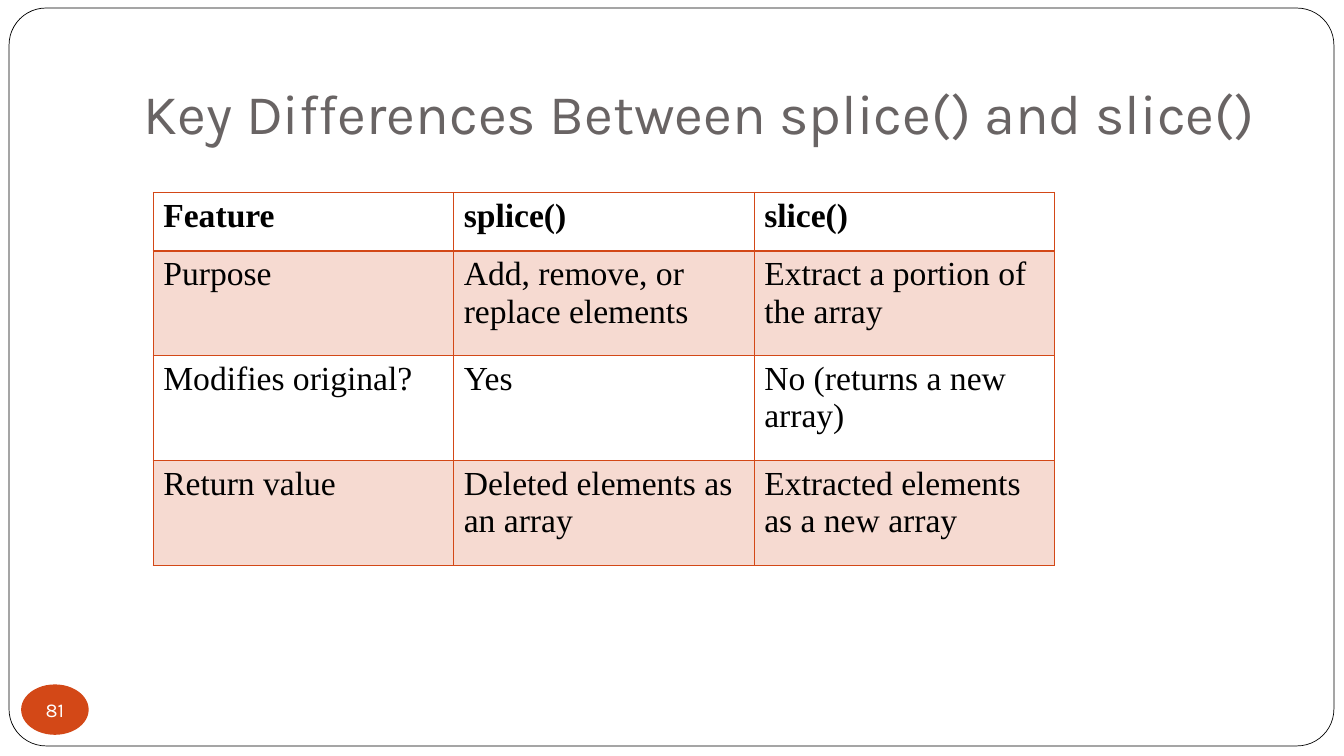
from lxml import etree
from pptx import Presentation
from pptx import util as u
from pptx.dml.color import RGBColor
from pptx.enum import shapes, text
from pptx.oxml.ns import qn

COLORS = {"white": "FFFFFF", "black": "000000", "title": "696464",
          "accent": "D34817", "band": "F6DAD1"}
FORMATS = {
    "title": {"name": "Karla", "size": u.Pt(40), "bold": False},
    "number": {"name": "Karla", "size": u.Pt(14), "bold": False},
    "header": {"name": "Times New Roman", "size": u.Pt(24), "bold": True},
    "body": {"name": "Times New Roman", "size": u.Pt(24), "bold": False},
}


def write(frame, words, style, color):
    paragraph = frame.paragraphs[0]
    run = paragraph.add_run()
    run.text = words
    for key, value in FORMATS[style].items():
        setattr(run.font, key, value)
    run.font.color.rgb = RGBColor.from_string(COLORS[color])
    return paragraph


def add_border(cell, side, points):
    line = etree.SubElement(cell._tc.get_or_add_tcPr(), qn(f"a:ln{side}"), w=str(u.Pt(points)))
    fill = etree.SubElement(line, qn("a:solidFill"))
    etree.SubElement(fill, qn("a:srgbClr"), val=COLORS["accent"])


presentation = Presentation()
presentation.slide_width = u.Inches(13.33)
presentation.slide_height = u.Inches(7.5)
slide = presentation.slides.add_slide(presentation.slide_layouts[6])

frame_shape = slide.shapes.add_shape(
    shapes.MSO_SHAPE.ROUNDED_RECTANGLE,
    u.Inches(0.09), u.Inches(0.08), u.Inches(13.14), u.Inches(7.32))
frame_shape.adjustments[0] = 0.05
frame_shape.shadow.inherit = False
frame_shape.fill.solid()
frame_shape.fill.fore_color.rgb = RGBColor.from_string(COLORS["white"])
frame_shape.line.color.rgb = RGBColor.from_string(COLORS["black"])
frame_shape.line.width = u.Pt(0.5)

title = slide.shapes.add_textbox(u.Inches(1.33), u.Inches(0.3), u.Inches(11.33), u.Inches(1.25))
title.text_frame.word_wrap = True
title.text_frame.vertical_anchor = text.MSO_ANCHOR.BOTTOM
title.text_frame.margin_bottom = u.Inches(0.1)
write(title.text_frame, "Key Differences Between splice() and slice()", "title", "title")

badge = slide.shapes.add_shape(
    shapes.MSO_SHAPE.OVAL, u.Inches(0.21), u.Inches(6.79), u.Inches(0.67), u.Inches(0.5))
badge.shadow.inherit = False
badge.fill.solid()
badge.fill.fore_color.rgb = RGBColor.from_string(COLORS["accent"])
badge.line.fill.background()
for side in ("left", "top", "right", "bottom"):
    setattr(badge.text_frame, f"margin_{side}", 0)
badge.text_frame.word_wrap = False
badge.text_frame.vertical_anchor = text.MSO_ANCHOR.MIDDLE
number = write(badge.text_frame, "81", "number", "white")
number.alignment = text.PP_ALIGN.CENTER

rows = [
    ("Feature", "splice()", "slice()"),
    ("Purpose", "Add, remove, or replace elements", "Extract a portion of the array"),
    ("Modifies original?", "Yes", "No (returns a new array)"),
    ("Return value", "Deleted elements as an array", "Extracted elements as a new array"),
]
table = slide.shapes.add_table(
    len(rows), 3, u.Inches(1.52), u.Inches(1.91), u.Inches(8.94), u.Inches(3.7)).table
table.first_row = True
table.horz_banding = False
for column in table.columns:
    column.width = u.Inches(2.98)
for row_index, row in enumerate(rows):
    table.rows[row_index].height = u.Inches(1.04 if row_index else 0.58)
    for column_index, words in enumerate(row):
        cell = table.cell(row_index, column_index)
        write(cell.text_frame, words, "body" if row_index else "header", "black")
        for side in "LRTB":
            heavy = (row_index, side) in ((0, "B"), (1, "T"))
            add_border(cell, side, 2 if heavy else 1)
        cell.fill.solid()
        cell.fill.fore_color.rgb = RGBColor.from_string(
            COLORS["band" if row_index % 2 else "white"])

presentation.save("out.pptx")
